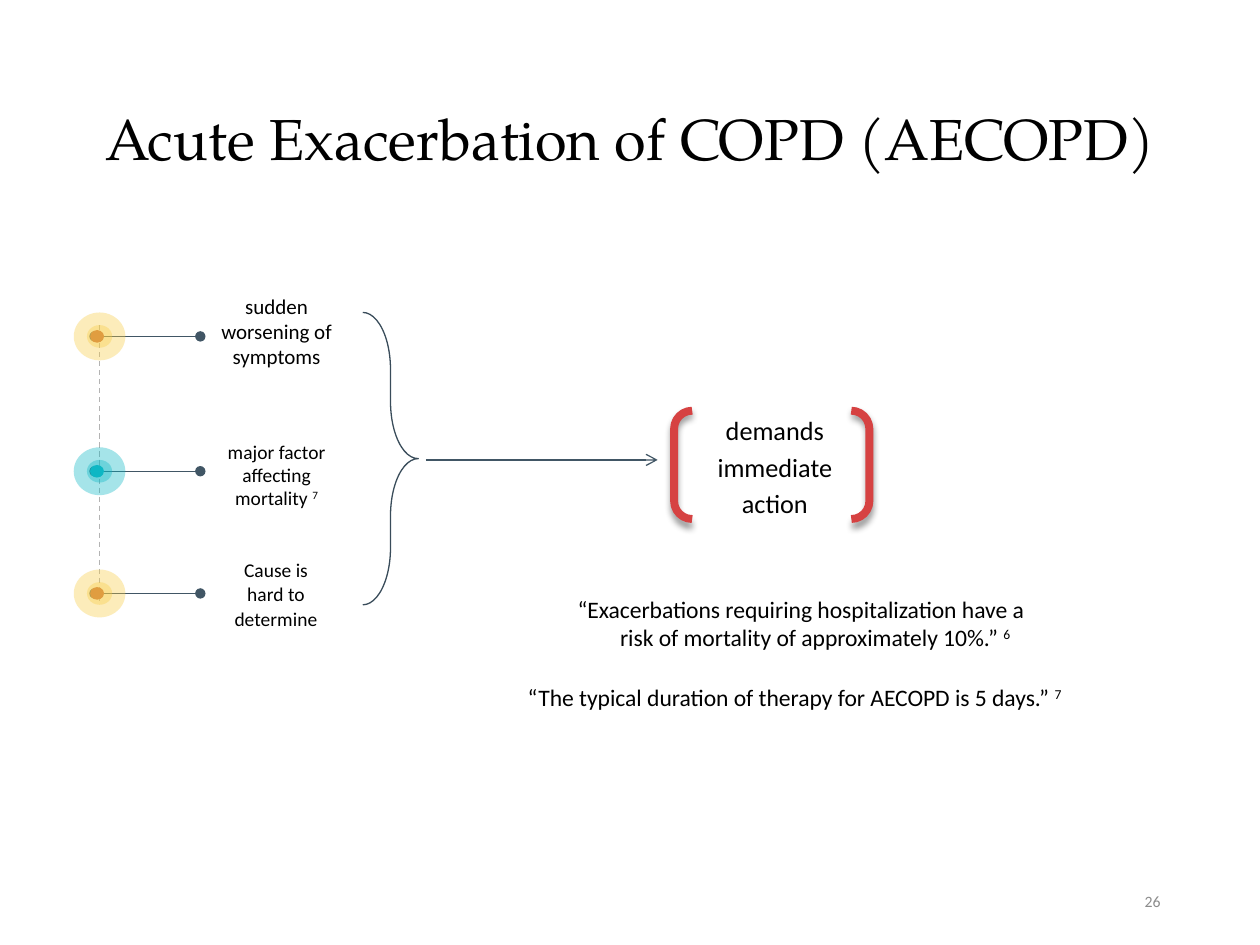
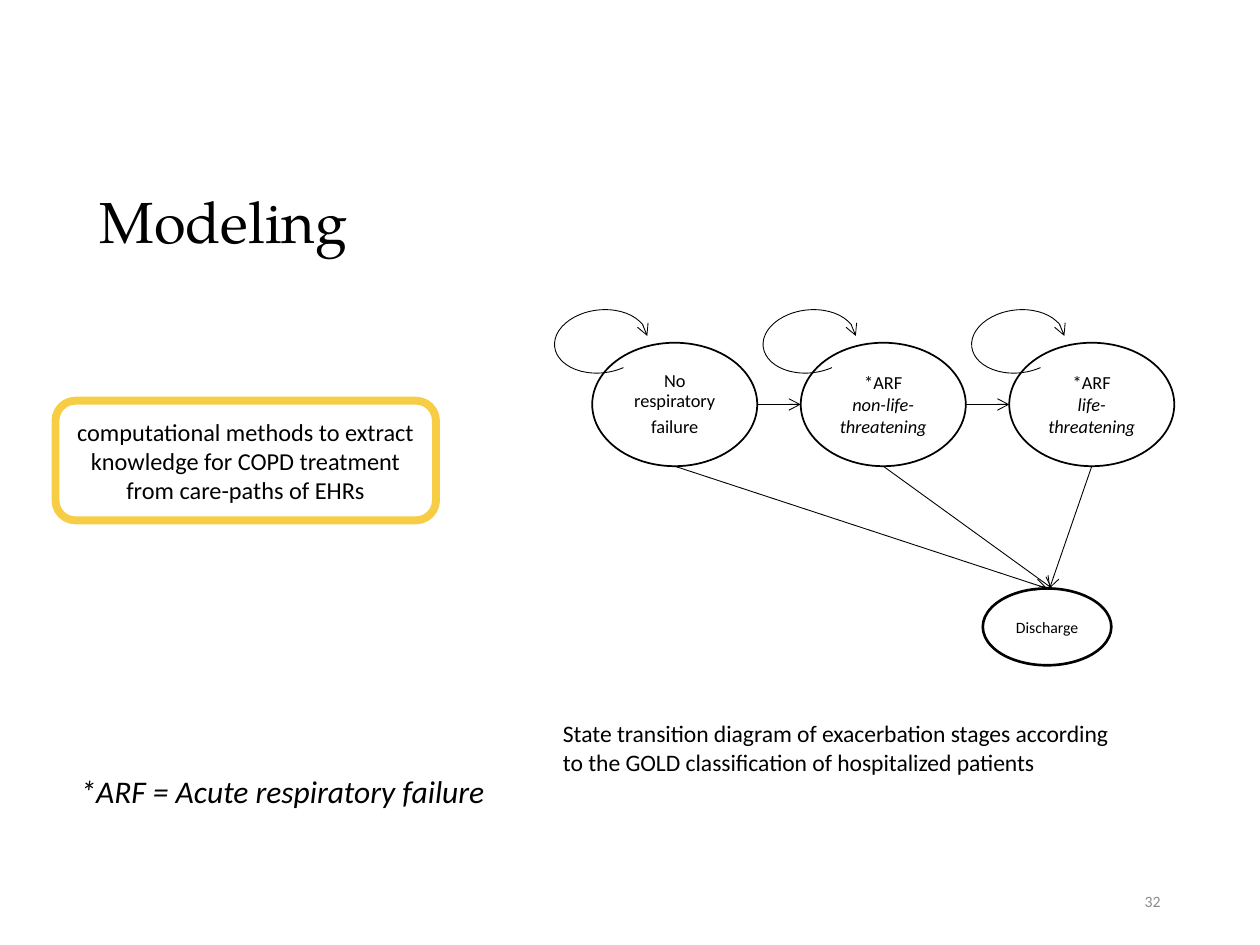
from lxml.etree import SubElement
from pptx import Presentation
from pptx.dml.color import RGBColor
from pptx.enum.dml import MSO_LINE
from pptx.enum.shapes import MSO_CONNECTOR, MSO_SHAPE as SHAPE
from pptx.enum.text import MSO_ANCHOR as ANCHOR, PP_ALIGN as ALIGN
from pptx.oxml.ns import qn
from pptx.util import Inches, Pt

BLACK = RGBColor(0x00, 0x00, 0x00)
WHITE = RGBColor(0xFF, 0xFF, 0xFF)
GRAY = RGBColor(0x8C, 0x8C, 0x8C)
DASH_GRAY = RGBColor(0xB3, 0xB3, 0xB3)
SLATE = RGBColor(0x41, 0x56, 0x65)
DARK_SLATE = RGBColor(0x39, 0x4C, 0x5A)
YELLOW = RGBColor(0xF8, 0xCD, 0x46)
ORANGE = RGBColor(0xE0, 0x9D, 0x40)
TEAL = RGBColor(0x0D, 0xB7, 0xC4)
RED = RGBColor(0xD6, 0x42, 0x42)

TITLE_FONT, BODY_FONT = "TeX Gyre Pagella", "Calibri"
WIDTH, HEIGHT = Inches(10), Inches(7.5)
COLS, ROWS = 100, 75
TITLE_ONLY = 5


def grid(x, y, w, h):
    col, row = WIDTH / COLS, HEIGHT / ROWS
    return [round(v) for v in (x * col, y * row, w * col, h * row)]


def outline(s, color, width, head=None, tail=None, dash=None):
    s.line.color.rgb = color
    s.line.width = Pt(width)
    if dash:
        s.line.dash_style = dash
    ln = s._element.spPr.find(qn("a:ln"))
    for tag, kind in (("a:headEnd", head), ("a:tailEnd", tail)):
        if kind:
            SubElement(ln, qn(tag), type=kind)


def add_line(shapes, start, end, color, width, **style):
    s = shapes.add_connector(MSO_CONNECTOR.STRAIGHT, *grid(*start, *end))
    outline(s, color, width, **style)
    SubElement(s._element.spPr, qn("a:effectLst"))


def add_shape(shapes, kind, box, fill=None, alpha=None, line=None, rotation=0, adj=()):
    s = shapes.add_shape(kind, *grid(*box))
    s.shadow.inherit = False
    s.rotation = rotation
    for i, value in enumerate(adj):
        s.adjustments[i] = value
    if fill is None:
        s.fill.background()
    else:
        s.fill.solid()
        s.fill.fore_color.rgb = fill
    if alpha:
        clr = next(s._element.spPr.iter(qn("a:srgbClr")))
        SubElement(clr, qn("a:alpha"), val=str(alpha * 1000))
    if line:
        outline(s, *line)
    else:
        s.line.fill.background()
    return s


def style_font(font, size, color=BLACK, name=BODY_FONT):
    font.size = Pt(size)
    font.name = name
    font.color.rgb = color


def write(s, text, size, note=None, align=ALIGN.CENTER, color=BLACK, anchor=ANCHOR.TOP,
          inset=(0.1, 0.05), spacing=None, indent=None, wrap=True):
    tf = s.text_frame
    tf.text = text
    tf.word_wrap = wrap
    tf.vertical_anchor = anchor
    tf.margin_left = tf.margin_right = Inches(inset[0])
    tf.margin_top = tf.margin_bottom = Inches(inset[1])
    if note:
        r = tf.paragraphs[-1].add_run()
        r.text = note
        r.font._element.set("baseline", "30000")
    for p in tf.paragraphs:
        p.alignment = align
        if spacing:
            p.line_spacing = spacing
        if indent:
            pPr = p._p.get_or_add_pPr()
            for key, value in zip(("marL", "indent"), indent):
                pPr.set(key, str(Inches(value)))
        for r in p.runs:
            style_font(r.font, size, color)
    return tf


def add_text(shapes, box, text, size, **style):
    return write(shapes.add_textbox(*grid(*box)), text, size, **style)


def add_slide(prs, title, box, align, number):
    s = prs.slides.add_slide(prs.slide_layouts[TITLE_ONLY])
    s.background.fill.solid()
    s.background.fill.fore_color.rgb = WHITE
    sp = s.shapes.title
    sp.left, sp.top, sp.width, sp.height = grid(*box)
    tf = sp.text_frame
    tf.text = title
    tf.vertical_anchor = ANCHOR.MIDDLE
    p = tf.paragraphs[0]
    p.alignment = align
    p.line_spacing = 0.9
    style_font(p.runs[0].font, 33, name=TITLE_FONT)
    add_text(s.shapes, (70.6, 69.5, 22.5, 4), number, 9, color=GRAY,
             align=ALIGN.RIGHT, anchor=ANCHOR.MIDDLE)
    return s.shapes


def add_marker(shapes, y, halo, core, rotation, box, text, size, note=None, spacing=None):
    g = shapes.add_group_shape().shapes
    add_line(g, (7.5, y), (15.9, y), SLATE, 0.75, head="oval", tail="oval")
    add_text(g, box, text, size, note=note, spacing=spacing, inset=(0.1, 0.1))
    for cx, w, h, fill, alpha in ((7.9, 3.8, 4.1, halo, 37), (7.9, 1.8, 2, halo, 37),
                                  (7.7, 1, 1.1, core, None)):
        add_shape(g, SHAPE.OVAL, (cx - w / 2, y - h / 2, w, h), fill, alpha,
                  rotation=rotation)


def add_action(shapes):
    g = shapes.add_group_shape().shapes
    add_text(g, (53.7, 33, 15, 7.7), "demands immediate action", 15, spacing=1.15,
             indent=(0.06, 0), anchor=ANCHOR.MIDDLE, inset=(0.1, 0.1))
    s = add_shape(g, SHAPE.DOUBLE_BRACKET, (53.5, 32.6, 15.5, 8.6), line=(RED, 4.5))
    effects = s._element.spPr.find(qn("a:effectLst"))
    shadow = SubElement(effects, qn("a:outerShdw"), blurRad=str(Pt(4)), dist=str(Pt(3)),
                        dir=str(90 * 60000), rotWithShape="0")
    clr = SubElement(shadow, qn("a:srgbClr"), val=str(BLACK))
    SubElement(clr, qn("a:alpha"), val="40000")


def add_states(shapes):
    g = shapes.add_group_shape().shapes
    left, top, width, height, step = 47, 27.2, 13.1, 9.8, 16.55
    middle, bottom, discharge_top = top + height / 2, top + height, 46.7
    states = (("No respiratory\nfailure", 83.1), ("*ARF\nnon-life-threatening", 83.5),
              ("*ARF\nlife-threatening", 83.3))
    for i, (text, target) in enumerate(states):
        x = left + i * step
        s = add_shape(g, SHAPE.OVAL, (x, top, width, height), line=(BLACK, 1))
        tf = write(s, text, 10.5, anchor=ANCHOR.MIDDLE, inset=(0.07, 0.12))
        if text.startswith("*"):
            tf.paragraphs[1].runs[0].font.italic = True
        else:
            for p in tf.paragraphs:
                p.line_spacing = 0.9
                p.space_after = Pt(3.7)
        add_shape(g, SHAPE.ARC, (x - 3, 24.6, 7.4, 5), rotation=353.3, adj=(33.7, 0),
                  line=(BLACK, 0.5, None, "arrow"))
        add_line(g, (x + width / 2, bottom), (target, discharge_top), BLACK, 0.5,
                 tail="arrow")
        if i:
            add_line(g, (x - step + width, middle), (x, middle), BLACK, 0.5, tail="arrow")
    s = add_shape(g, SHAPE.OVAL, (78, discharge_top, 10.2, 6.1), line=(BLACK, 1.5))
    write(s, "Discharge", 9, anchor=ANCHOR.MIDDLE, inset=(0.07, 0.04))


def build_exacerbation(prs):
    shapes = add_slide(prs, "Acute Exacerbation of COPD (AECOPD)",
                       (6.9, 4, 86.2, 14.5), ALIGN.CENTER, "26")
    add_text(shapes, (40.2, 53.4, 45.1, 3.5),
             "“The typical duration of therapy for AECOPD is 5 days.” ", 13.5, note="7",
             spacing=1.15, indent=(0.37, -0.31), wrap=False)
    add_text(shapes, (44.8, 46.7, 37.5, 5.6),
             "“Exacerbations requiring hospitalization have a risk of mortality of "
             "approximately 10%.” ", 13.5, note="6", indent=(0.23, -0.23))
    add_line(shapes, (7.9, 25.8), (7.9, 48), DASH_GRAY, 0.75, dash=MSO_LINE.DASH)
    add_line(shapes, (33.8, 36.5), (52.2, 36.5), SLATE, 0.75, tail="arrow")
    add_marker(shapes, 26.7, YELLOW, ORANGE, 90, (16.4, 22.3, 11.1, 8.8),
               "sudden worsening of symptoms", 12)
    add_marker(shapes, 37.4, TEAL, TEAL, 270, (16.4, 33.9, 11.1, 7.1),
               "major factor affecting mortality ", 11.1, note="7")
    add_marker(shapes, 47.1, YELLOW, ORANGE, 90, (17.5, 43.2, 8.8, 7.9),
               "Cause is hard to determine", 11.1, spacing=1.05)
    add_action(shapes)
    s = add_shape(shapes, SHAPE.LEFT_BRACE, (28.8, 24.8, 4.4, 23.2),
                  line=(DARK_SLATE, 0.75), adj=(1.03, 0.5))
    s._element.spPr.find(qn("a:xfrm")).set("flipH", "1")


def build_modeling(prs):
    shapes = add_slide(prs, "Modeling", (6.9, 12.4, 86.2, 10.9), ALIGN.LEFT, "32")
    s = add_shape(shapes, SHAPE.FLOWCHART_ALTERNATE_PROCESS, (4.4, 31.8, 30.2, 9.5),
                  line=(YELLOW, 4.5))
    write(s, "computational methods to extract knowledge for COPD treatment from "
             "care-paths of EHRs", 13.9, anchor=ANCHOR.MIDDLE, inset=(0.1, 0.1))
    add_text(shapes, (43.7, 56.6, 46.6, 5.6),
             "State transition diagram of exacerbation stages according to the GOLD "
             "classification of hospitalized patients", 13.5, align=ALIGN.LEFT)
    add_states(shapes)
    tf = add_text(shapes, (5.4, 60.8, 34.5, 4), "*ARF = Acute respiratory failure", 18,
                  align=ALIGN.LEFT)
    tf.paragraphs[0].runs[0].font.italic = True


def main():
    prs = Presentation()
    prs.slide_width, prs.slide_height = WIDTH, HEIGHT
    build_exacerbation(prs)
    build_modeling(prs)
    prs.save("out.pptx")


if __name__ == "__main__":
    main()
